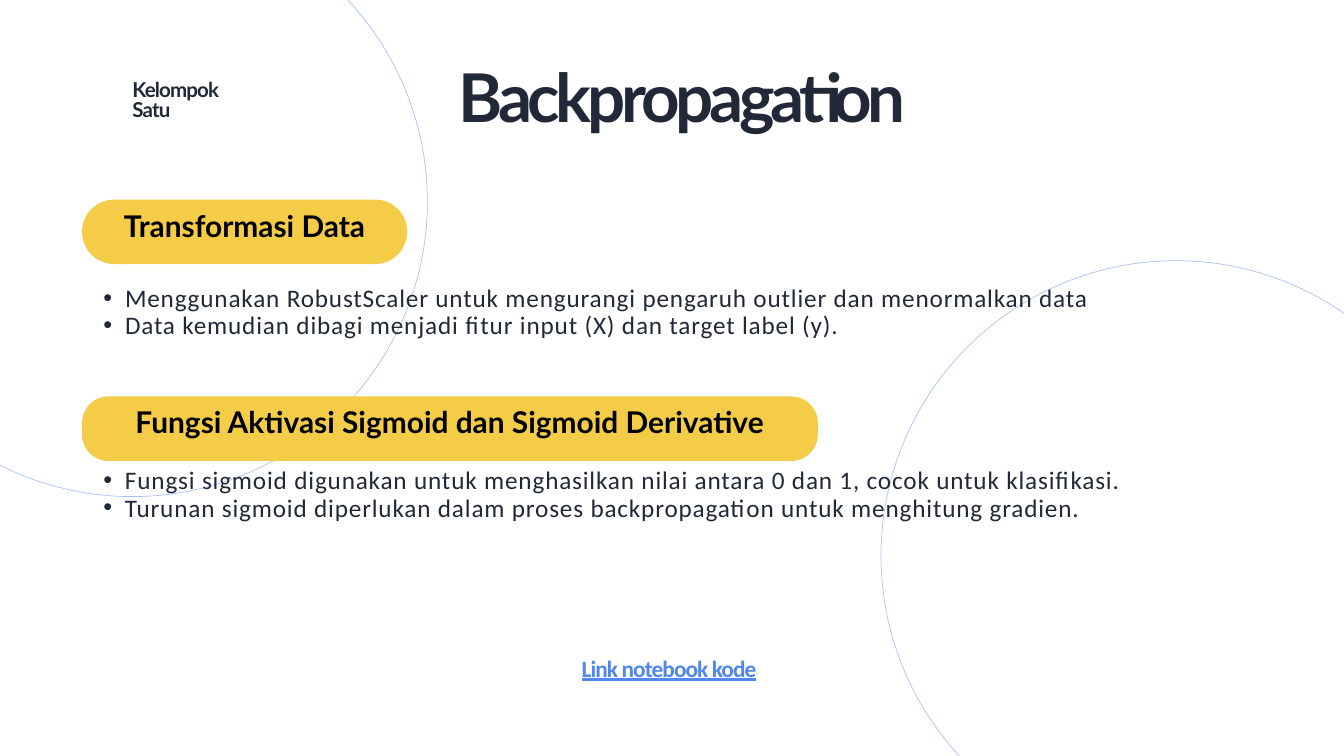
"""Build the Backpropagation slide with two headed bullet sections."""
from lxml import etree
from pptx import Presentation
from pptx import util as u
from pptx.dml.color import RGBColor
from pptx.enum import shapes, text
from pptx.oxml.ns import qn

COLORS = {"ink": "212938", "black": "000000", "yellow": "F4CC48", "blue": "5086ED"}
HEADING_FONT, BODY_FONT = "Lato", "Calibri"
LEFT_MARGIN = 1.22

SECTIONS = [
    {
        "heading": "Transformasi Data",
        "pill": (2.97, 4.84, 0.5),
        "body": (4.24, 18.05),
        "bullets": [
            "Menggunakan RobustScaler untuk mengurangi pengaruh outlier dan menormalkan data",
            "Data kemudian dibagi menjadi fitur input (X) dan target label (y).",
        ],
    },
    {
        "heading": "Fungsi Aktivasi Sigmoid dan Sigmoid Derivative",
        "pill": (5.9, 10.95, 0.41),
        "body": (6.95, 17.66),
        "bullets": [
            "Fungsi sigmoid digunakan untuk menghasilkan nilai antara 0 dan 1, cocok untuk klasifikasi.",
            "Turunan sigmoid diperlukan dalam proses backpropagation untuk menghitung gradien.",
        ],
    },
]


class SlideBuilder:
    def __init__(self, slide):
        self.slide = slide

    def color(self, name):
        return RGBColor.from_string(COLORS[name])

    def add_shape(self, kind, left, top, width, height):
        shape = self.slide.shapes.add_shape(kind, *map(u.Inches, (left, top, width, height)))
        shape.shadow.inherit = False
        return shape

    def circle(self, left, top, diameter):
        shape = self.add_shape(shapes.MSO_SHAPE.OVAL, left, top, diameter, diameter)
        shape.fill.background()
        shape.line.color.rgb = self.color("blue")
        shape.line.width = u.Pt(0.75)
        line_color = shape.line._ln.find(".//" + qn("a:srgbClr"))
        etree.SubElement(line_color, qn("a:alpha"), val="50000")

    def textbox(self, lines, left, top, width, height, size, leading, font=HEADING_FONT,
                color="ink", bold=True, underline=None, spacing=0, centered=False,
                bulleted=False, inset=0, anchor=text.MSO_ANCHOR.TOP, grow=True):
        box = self.slide.shapes.add_textbox(*map(u.Inches, (left, top, width, height)))
        frame = box.text_frame
        frame.text = "\n".join(lines)
        frame.word_wrap = True
        frame.vertical_anchor = anchor
        frame.auto_size = text.MSO_AUTO_SIZE.SHAPE_TO_FIT_TEXT if grow else text.MSO_AUTO_SIZE.NONE
        frame.margin_left = frame.margin_right = u.Inches(inset)
        frame.margin_top = frame.margin_bottom = u.Inches(inset)
        for paragraph in frame.paragraphs:
            paragraph.alignment = text.PP_ALIGN.CENTER if centered else text.PP_ALIGN.LEFT
            paragraph.line_spacing = u.Pt(leading)
            if bulleted:
                self.bullet(paragraph)
            for run in paragraph.runs:
                run.font.name = font
                run.font.size = u.Pt(size)
                run.font.bold = bold
                run.font.underline = underline
                run.font.color.rgb = self.color(color)
                run._r.get_or_add_rPr().set("spc", str(round(spacing * 100)))

    def bullet(self, paragraph):
        paragraph.level = 1
        properties = paragraph._p.get_or_add_pPr()
        properties.set("marL", str(u.Inches(0.64)))
        properties.set("indent", str(u.Inches(-0.32)))
        etree.SubElement(properties, qn("a:buFont"), typeface="Arial")
        etree.SubElement(properties, qn("a:buChar"), char="•")

    def heading(self, label, top, width, roundness):
        height, rise = 0.96, 0.29
        pill = self.add_shape(shapes.MSO_SHAPE.ROUNDED_RECTANGLE, LEFT_MARGIN, top, width, height)
        pill.adjustments[0] = roundness
        pill.fill.solid()
        pill.fill.fore_color.rgb = self.color("yellow")
        pill.line.fill.background()
        self.textbox([label], LEFT_MARGIN, top - rise, width, height + rise, 32, 44.8,
                     color="black", centered=True, inset=0.07,
                     anchor=text.MSO_ANCHOR.MIDDLE, grow=False)

    def bullets(self, lines, top, width):
        self.textbox(lines, LEFT_MARGIN, top, width, 0.82, 27, 29.5, font=BODY_FONT,
                     bold=False, spacing=0.9, bulleted=True)


def main():
    presentation = Presentation()
    presentation.slide_width = u.Inches(20)
    presentation.slide_height = u.Inches(11.25)
    builder = SlideBuilder(presentation.slides.add_slide(presentation.slide_layouts[6]))

    for left, top in ((-2.42, -1.39), (13.11, 3.88)):
        builder.circle(left, top, 8.78)
    builder.textbox(["Backpropagation"], 4.73, 1.08, 10.84, 1, 72, 67.7,
                    spacing=-4.6, centered=True)
    builder.textbox(["Kelompok", "Satu"], 1.97, 1.2, 1.78, 0.63, 22, 22.2, spacing=-0.9)
    for section in SECTIONS:
        builder.heading(section["heading"], *section["pill"])
        builder.bullets(section["bullets"], *section["body"])
    builder.textbox(["Link notebook kode"], 8.56, 9.66, 2.79, 0.46, 25, 35, font=BODY_FONT,
                    color="blue", underline=True, spacing=-1, centered=True)
    presentation.save("out.pptx")


if __name__ == "__main__":
    main()
